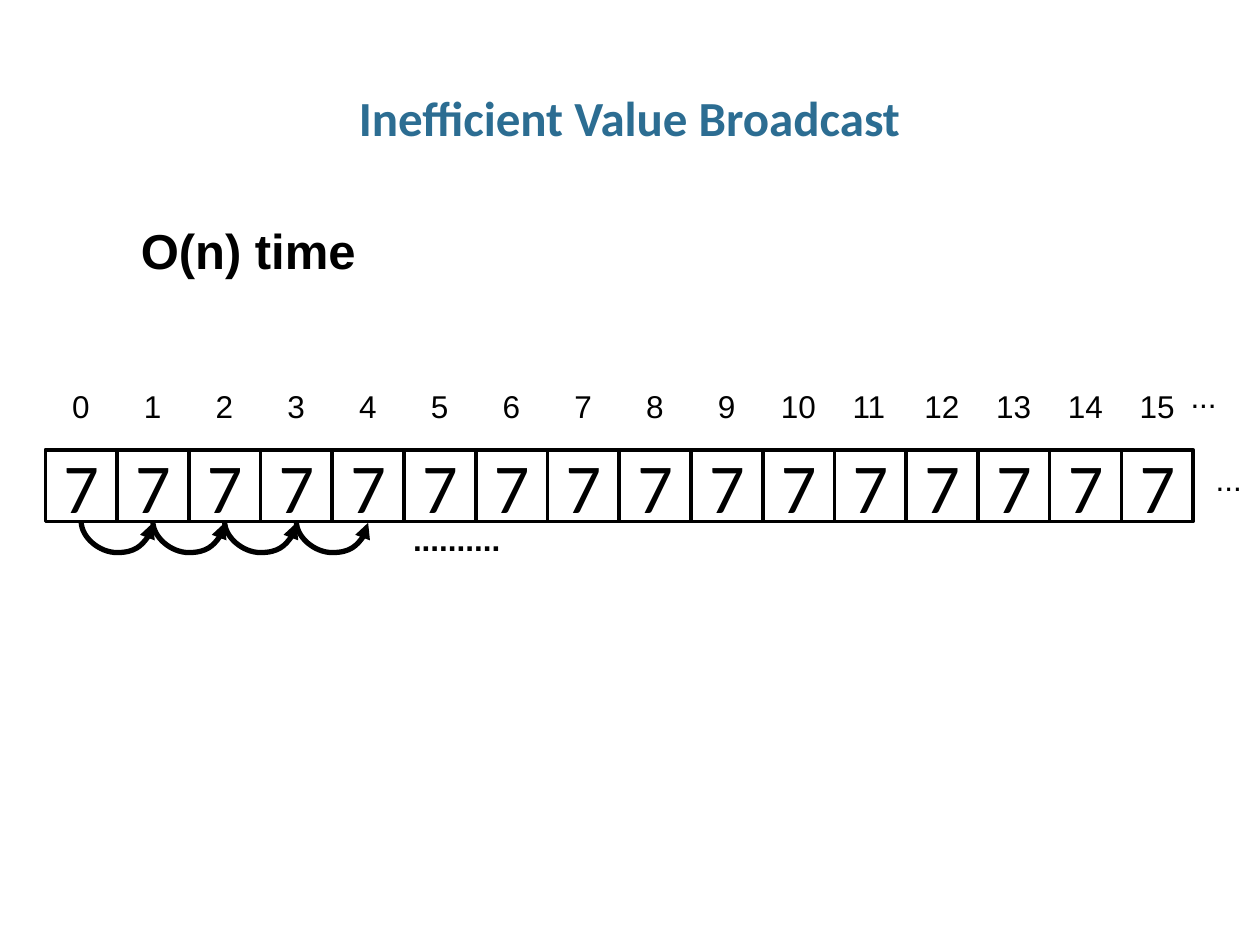
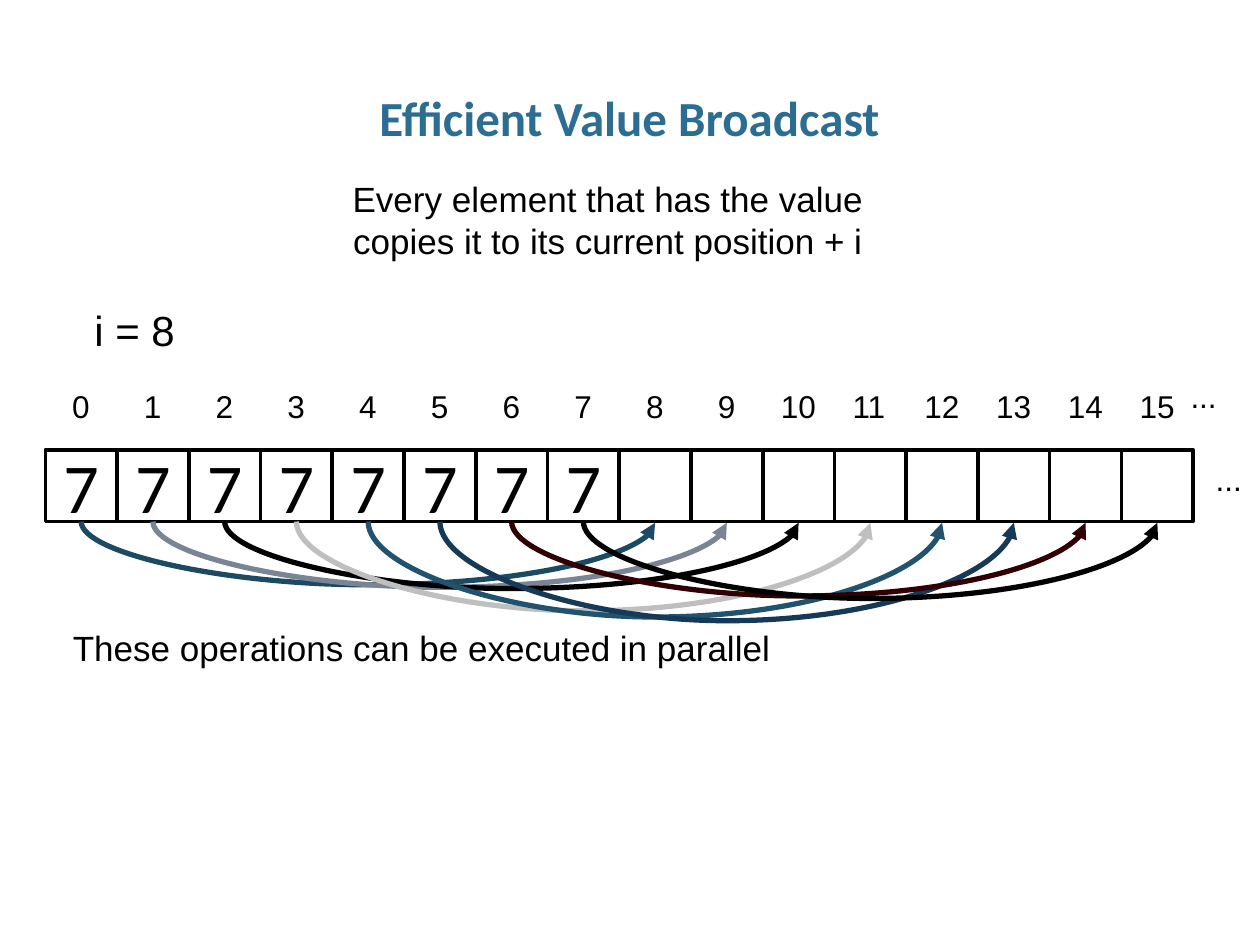
from pptx import Presentation
from pptx.dml.color import RGBColor
from pptx.enum.shapes import MSO_CONNECTOR, MSO_SHAPE
from pptx.enum.text import MSO_ANCHOR, MSO_AUTO_SIZE, PP_ALIGN
from pptx.oxml.ns import qn
from pptx.util import Inches, Pt
from lxml.etree import SubElement

BLACK, BLUE = "000000", "2C6D92"
COUNT = 16
LEFT, TOP = 0.36, 3.57
SIDE = 9.11 / COUNT
DROP = 0.01  # each arrow ends this far below its start

# Arcs: first cell, depth, colour. Notes: text, box, size, bold, wrapped.
SLIDES = [
    {
        "title": "Inefficient Value Broadcast",
        "filled": 16,
        "step": 1,
        "arcs": [(cell, 0.25, BLACK) for cell in range(4)],
        "notes": [
            ("..........", (3.18, 4.08, 0.9, 0.4), 18, True, False),
            ("O(n) time", (1.02, 1.7, 1.93, 0.57), 28, True, False),
        ],
    },
    {
        "title": "Efficient Value Broadcast",
        "filled": 8,
        "step": 8,
        "arcs": [
            (0, 0.51, "1D4A63"),
            (1, 0.53, "798494"),
            (2, 0.54, BLACK),
            (3, 0.72, "BFBFBF"),
            (4, 0.77, "21526E"),
            (5, 0.8, "153957"),
            (6, 0.6, "300002"),
            (7, 0.62, BLACK),
        ],
        "notes": [
            ("Every element that has the value copies it to its current position + i",
             (2.64, 1.36, 4.37, 0.77), 20, False, True),
            ("i = 8", (0.65, 2.37, 0.85, 0.5), 24, False, False),
            ("These operations can be executed in parallel",
             (0.48, 4.92, 5.78, 0.44), 20, False, False),
        ],
    },
]
DOTS = [(9.35, 2.94, 0.41, 0.4), (9.55, 3.6, 0.41, 0.4)]


def color(code):
    return RGBColor.from_string(code)


def inches(box):
    return [Inches(part) for part in box]


def center(cell):
    return LEFT + (cell + 0.5) * SIDE


def write(frame, text, size, font="Arial", code=BLACK, bold=False, align=PP_ALIGN.LEFT):
    frame.text = text
    para = frame.paragraphs[0]
    para.alignment = align
    style = para.runs[0].font
    style.name, style.size, style.bold = font, Pt(size), bold
    style.color.rgb = color(code)


def add_title(slide, text):
    title = slide.shapes.title
    title.left, title.top, title.width, title.height = inches((0.34, 0.68, 9.31, 0.5))
    frame = title.text_frame
    frame.margin_left = frame.margin_right = 0
    frame.auto_size = MSO_AUTO_SIZE.NONE
    frame.vertical_anchor = MSO_ANCHOR.TOP
    write(frame, text, 28, "Calibri", BLUE, True, PP_ALIGN.CENTER)
    frame.paragraphs[0].line_spacing = 0.95


def add_cell(slide, cell, full):
    box = (LEFT + cell * SIDE, TOP, SIDE, SIDE)
    rect = slide.shapes.add_shape(MSO_SHAPE.RECTANGLE, *inches(box))
    rect.shadow.inherit = False
    rect.fill.background()
    rect.line.color.rgb = color(BLACK)
    rect.line.width = Pt(2)
    if full:
        rect.text_frame.vertical_anchor = MSO_ANCHOR.MIDDLE
        write(rect.text_frame, "7", 40, "Calibri", align=PP_ALIGN.CENTER)


def add_note(slide, text, box, size=18, bold=False, wrap=False):
    frame = slide.shapes.add_textbox(*inches(box)).text_frame
    frame.word_wrap = wrap
    frame.auto_size = MSO_AUTO_SIZE.SHAPE_TO_FIT_TEXT
    align = PP_ALIGN.CENTER if wrap else PP_ALIGN.LEFT
    write(frame, text, size, bold=bold, align=align)


def add_arc(slide, start, end, depth, code):
    """Hang a curved arrow below the row: an upright connector turned by 270 degrees."""
    mid = (center(start) + center(end)) / 2
    low = TOP + SIDE + DROP / 2
    half = (center(end) - center(start)) / 2
    ends = (mid + DROP / 2, low - half, mid - DROP / 2, low + half)
    arc = slide.shapes.add_connector(MSO_CONNECTOR.CURVE, *inches(ends))
    arc.line.color.rgb = color(code)
    arc.line.width = Pt(3)
    props = arc._element.spPr
    props.find(qn("a:xfrm")).set("rot", str(270 * 60000))
    guides = props.find(qn("a:prstGeom")).find(qn("a:avLst"))
    ratio = round(depth / DROP * 100000)
    SubElement(guides, qn("a:gd"), name="adj1", fmla=f"val {ratio}")
    SubElement(props.find(qn("a:ln")), qn("a:tailEnd"), type="triangle")
    SubElement(props, qn("a:effectLst"))


def add_row(slide, filled):
    for cell in range(COUNT):
        add_cell(slide, cell, cell < filled)
    for cell in range(COUNT):
        width = 0.34 if cell < 10 else 0.48
        add_note(slide, str(cell), (center(cell) - width / 2, 3.02, width, 0.4))
    for box in DOTS:
        add_note(slide, "...", box)


def main():
    deck = Presentation()
    deck.slide_width, deck.slide_height = Inches(10), Inches(7.5)
    for page in SLIDES:
        slide = deck.slides.add_slide(deck.slide_layouts[5])
        add_title(slide, page["title"])
        add_row(slide, page["filled"])
        for start, depth, code in page["arcs"]:
            add_arc(slide, start, start + page["step"], depth, code)
        for note in page["notes"]:
            add_note(slide, *note)
    deck.save("out.pptx")


if __name__ == "__main__":
    main()
